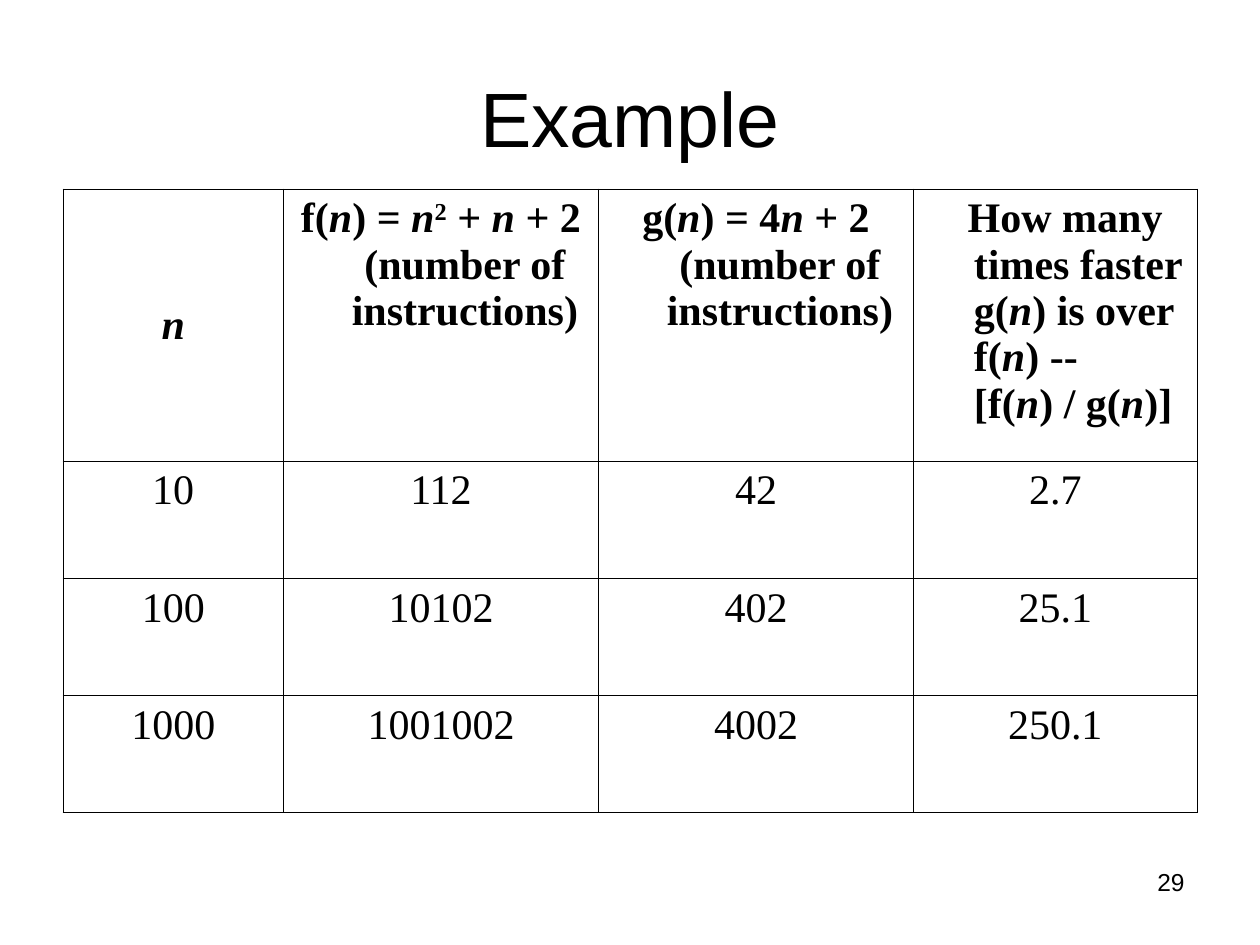
from lxml import etree
from pptx import Presentation
from pptx import util as u
from pptx.dml.color import RGBColor
from pptx.enum import text
from pptx.oxml.ns import qn

BLACK = "000000"
CENTER, LEFT, RIGHT = text.PP_ALIGN.CENTER, text.PP_ALIGN.LEFT, text.PP_ALIGN.RIGHT


def style(run, size, face):
    run.font.size = u.Pt(size)
    run.font.name = face
    run.font.color.rgb = RGBColor.from_string(BLACK)


def add_border(cell, side):
    line = etree.SubElement(cell._tc.get_or_add_tcPr(), qn("a:" + side), w=str(u.Pt(0.45)))
    fill = etree.SubElement(line, qn("a:solidFill"))
    etree.SubElement(fill, qn("a:srgbClr"), val=BLACK)


deck = Presentation()
deck.slide_width, deck.slide_height = u.Inches(10), u.Inches(7.5)
slide = deck.slides.add_slide(deck.slide_layouts[6])

# Page number and title
for words, box, size, align, anchor in [
    ("29", (7.17, 6.83, 2.33, 0.52), 14, RIGHT, text.MSO_ANCHOR.TOP),
    ("Example", (0.5, 0.3, 9, 1.25), 44, CENTER, text.MSO_ANCHOR.MIDDLE),
]:
    frame = slide.shapes.add_textbox(*map(u.Inches, box)).text_frame
    frame.word_wrap = True
    frame.vertical_anchor = anchor
    frame.text = words
    frame.paragraphs[0].alignment = align
    style(frame.paragraphs[0].runs[0], size, "Arial")

# Growth table: "|" parts the runs, a lone n is the variable, a lone 2 the exponent
growth = [
    ["|n|",
     "f(|n|) = |n||2| + |n| + 2 (number of instructions)",
     "g(|n|) = 4|n| + 2 (number of instructions)",
     "How many times faster g(|n|) is over f(|n|) --|\n|[f(|n|) / g(|n|)]"],
    ["10", "112", "42", "2.7"],
    ["100", "10102", "402", "25.1"],
    ["1000", "1001002", "4002", "250.1"],
]
widths = [1.75, 2.5, 2.5, 2.25]
heights = [2.16, 0.93, 0.93, 0.93]
table = slide.shapes.add_table(
    len(heights), len(widths), u.Inches(0.5), u.Inches(1.5),
    u.Inches(sum(widths)), u.Inches(sum(heights))).table
table.first_row = table.horz_banding = False
for column, width in zip(table.columns, widths):
    column.width = u.Inches(width)
for row, height in zip(table.rows, heights):
    row.height = u.Inches(height)

for r, entries in enumerate(growth):
    for c, entry in enumerate(entries):
        cell = table.cell(r, c)
        for side in ("lnL", "lnR", "lnT", "lnB"):
            add_border(cell, side)
        cell.fill.background()
        if r == 0 and c == 0:
            cell.vertical_anchor = text.MSO_ANCHOR.MIDDLE

        # Hanging indent; the ratio heading starts almost at its margin
        is_ratio_heading = r == 0 and c == 3
        paragraph = cell.text_frame.paragraphs[0]
        paragraph.alignment = LEFT if is_ratio_heading else CENTER
        indents = paragraph._p.get_or_add_pPr()
        indents.set("marL", str(u.Inches(0.38)))
        indents.set("indent", str(u.Inches(-0.05 if is_ratio_heading else -0.38)))

        for piece in filter(None, entry.split("|")):
            if piece == "\n":
                paragraph.add_line_break()
                continue
            run = paragraph.add_run()
            run.text = piece
            style(run, 24, "Times New Roman")
            run.font.bold = r == 0
            run.font.italic = piece == "n"
            if piece == "2":
                run.font._element.set("baseline", "30000")

deck.save("out.pptx")
